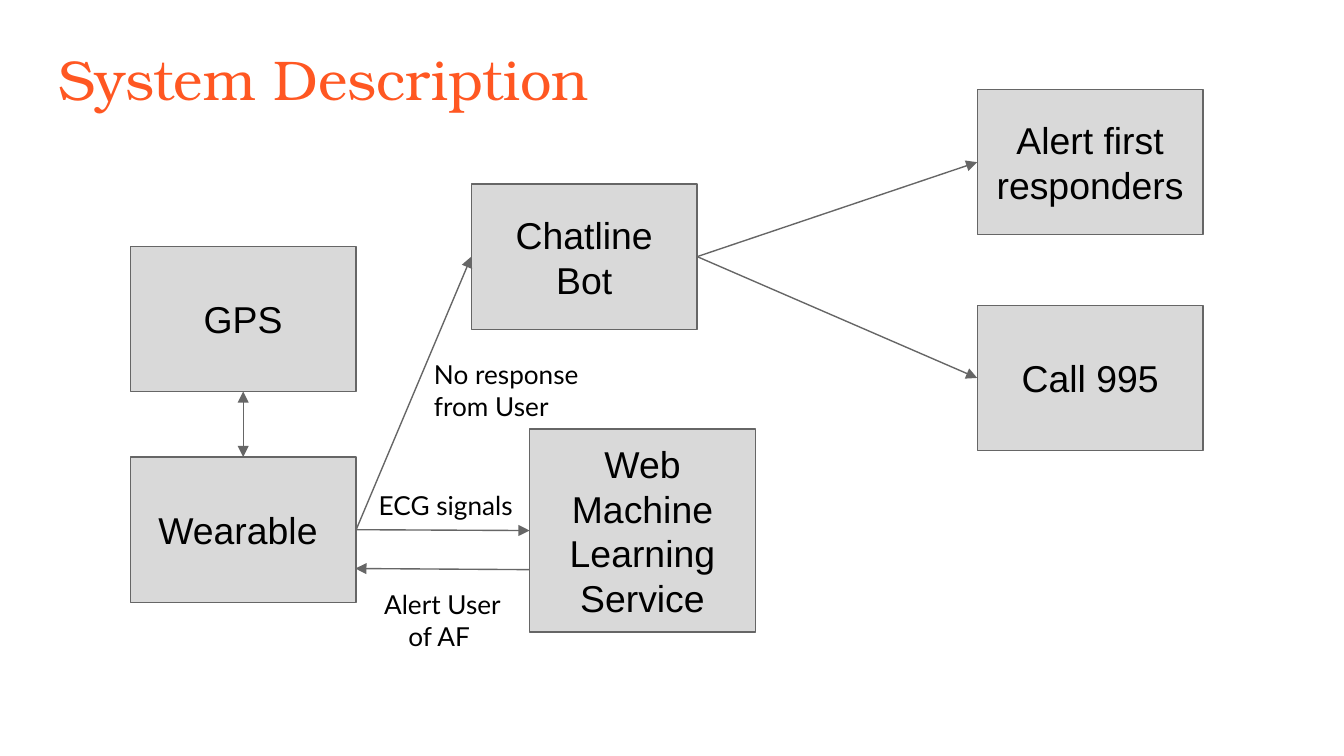
from dataclasses import dataclass

from lxml.etree import SubElement
from pptx import Presentation
from pptx.dml.color import RGBColor
from pptx.enum.shapes import MSO_CONNECTOR, MSO_SHAPE
from pptx.enum.text import MSO_ANCHOR, PP_ALIGN
from pptx.oxml.ns import qn
from pptx.util import Pt


@dataclass(frozen=True)
class Theme:
    title_color: str = "FF5722"
    text_color: str = "000000"
    box_fill: str = "D9D9D9"
    line_color: str = "666666"
    title_font: str = "TeX Gyre Bonum"
    box_font: str = "Arial"
    label_font: str = "Lato"
    title_size: float = 30
    box_size: float = 20
    label_size: float = 14
    line_width: float = 0.75
    inset: float = 7.2


THEME = Theme()
SLIDE_SIZE = (720, 405)
BOX_WIDTH, BOX_HEIGHT = 121, 77.8

TITLE = ("System Description", 24.5, 16.6, 671, 45.4)

# name: text, left, top, height
BOXES = {
    "learning": ("Web Machine Learning Service", 283.7, 229.9, 108.7),
    "bot": ("Chatline Bot", 252.5, 98.6, BOX_HEIGHT),
    "wearable": ("Wearable ", 69.8, 244.9, BOX_HEIGHT),
    "call": ("Call 995", 523.5, 163.6, BOX_HEIGHT),
    "gps": ("GPS", 69.8, 132, BOX_HEIGHT),
    "responders": ("Alert first responders", 523.5, 48, BOX_HEIGHT),
}

# Connection sites of a rectangle
TOP, LEFT, BOTTOM, RIGHT = range(4)

# from box, site, to box, site, arrowheads at both ends
LINKS = [
    ("wearable", TOP, "gps", BOTTOM, True),
    ("wearable", RIGHT, "learning", LEFT, False),
    ("wearable", RIGHT, "bot", LEFT, False),
    ("bot", RIGHT, "call", LEFT, False),
    ("bot", RIGHT, "responders", LEFT, False),
]
RETURN_ARROW = (283.7, 305.2, 190.4, 304.6)

# text, left, top, width, height, alignment
LABELS = [
    ("ECG signals", 195.8, 254.9, 106.6, 20.9, PP_ALIGN.LEFT),
    ("No response from User", 225.4, 185, 106.6, 51.1, PP_ALIGN.LEFT),
    ("Alert User of AF ", 190.8, 308.2, 92.2, 29.5, PP_ALIGN.CENTER),
]


def color(value):
    return RGBColor.from_string(value)


def write_text(shape, text, font, size, text_color, align, anchor):
    frame = shape.text_frame
    frame.word_wrap = True
    frame.vertical_anchor = anchor
    frame.margin_left = frame.margin_right = Pt(THEME.inset)
    frame.margin_top = frame.margin_bottom = Pt(THEME.inset)
    paragraph = frame.paragraphs[0]
    paragraph.text = text
    paragraph.alignment = align
    paragraph.font.name = font
    paragraph.font.size = Pt(size)
    paragraph.font.color.rgb = color(text_color)


def add_text(slide, text, left, top, width, height, font, size, text_color, align):
    shape = slide.shapes.add_textbox(Pt(left), Pt(top), Pt(width), Pt(height))
    write_text(shape, text, font, size, text_color, align, MSO_ANCHOR.TOP)


def add_box(slide, text, left, top, height):
    shape = slide.shapes.add_shape(
        MSO_SHAPE.RECTANGLE, Pt(left), Pt(top), Pt(BOX_WIDTH), Pt(height)
    )
    shape.shadow.inherit = False
    shape.fill.solid()
    shape.fill.fore_color.rgb = color(THEME.box_fill)
    shape.line.color.rgb = color(THEME.line_color)
    shape.line.width = Pt(THEME.line_width)
    write_text(shape, text, THEME.box_font, THEME.box_size, THEME.text_color,
               PP_ALIGN.CENTER, MSO_ANCHOR.MIDDLE)
    return shape


def add_arrow(slide, points=(0, 0, 0, 0), both_ends=False):
    arrow = slide.shapes.add_connector(
        MSO_CONNECTOR.STRAIGHT, *(Pt(value) for value in points)
    )
    arrow.line.color.rgb = color(THEME.line_color)
    arrow.line.width = Pt(THEME.line_width)
    properties = arrow.element.spPr
    line = properties.find(qn("a:ln"))
    for end in ("a:headEnd", "a:tailEnd") if both_ends else ("a:tailEnd",):
        SubElement(line, qn(end), type="triangle", w="med", len="med")
    SubElement(properties, qn("a:effectLst"))
    return arrow


def main():
    presentation = Presentation()
    presentation.slide_width, presentation.slide_height = map(Pt, SLIDE_SIZE)
    slide = presentation.slides.add_slide(presentation.slide_layouts[6])

    add_text(slide, *TITLE, THEME.title_font, THEME.title_size,
             THEME.title_color, PP_ALIGN.LEFT)
    boxes = {name: add_box(slide, *box) for name, box in BOXES.items()}

    for start, start_site, end, end_site, both_ends in LINKS:
        arrow = add_arrow(slide, both_ends=both_ends)
        arrow.begin_connect(boxes[start], start_site)
        arrow.end_connect(boxes[end], end_site)
    add_arrow(slide, RETURN_ARROW)

    for *label, align in LABELS:
        add_text(slide, *label, THEME.label_font, THEME.label_size,
                 THEME.text_color, align)

    presentation.save("out.pptx")


if __name__ == "__main__":
    main()
